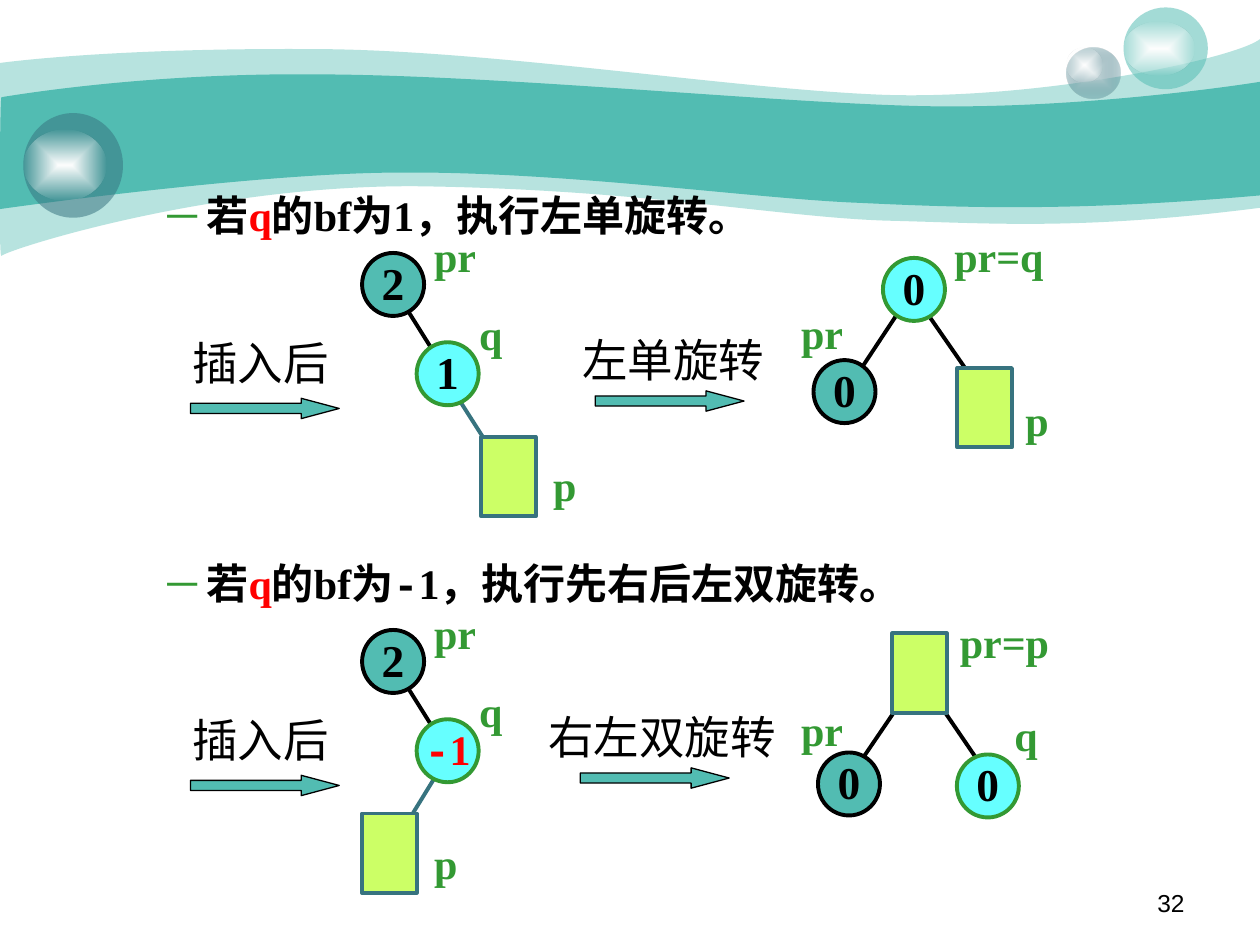
from dataclasses import dataclass

from lxml import etree
from pptx import Presentation
from pptx.dml.color import RGBColor
from pptx.enum.shapes import MSO_CONNECTOR, MSO_SHAPE
from pptx.enum.text import MSO_ANCHOR, MSO_AUTO_SIZE, PP_ALIGN
from pptx.oxml.ns import qn
from pptx.util import Cm, Pt

OVAL, RECT, ARROW = MSO_SHAPE.OVAL, MSO_SHAPE.RECTANGLE, MSO_SHAPE.RIGHT_ARROW
LINE = MSO_CONNECTOR.STRAIGHT
TOP, MIDDLE = MSO_ANCHOR.TOP, MSO_ANCHOR.MIDDLE
CENTER, RIGHT = PP_ALIGN.CENTER, PP_ALIGN.RIGHT
FIT, FIXED = MSO_AUTO_SIZE.SHAPE_TO_FIT_TEXT, MSO_AUTO_SIZE.NONE
SERIF, MONO, SANS = "Times New Roman", "Courier New", "Arial"
TEAL, SLATE, GREEN = "52BCB2", "37737F", "339933"
CYAN, LIME, RED = "66FFFF", "CCFF66", "FF0000"
BLACK, WHITE = "000000", "FFFFFF"
STEP = 7.6


@dataclass
class Piece:
    text: str
    color: str = BLACK
    font: str = SERIF


@dataclass
class Orb:
    x: float
    y: float
    w: float
    h: float
    stops: list


@dataclass
class Edge:
    x1: float
    y1: float
    x2: float
    y2: float
    color: str = BLACK


@dataclass
class Node:
    x: float
    y: float
    pieces: list
    fill: str
    line: str


@dataclass
class Tag:
    x: float
    y: float
    w: float
    text: str


@dataclass
class Tree:
    edges: list
    nodes: list
    leaf: tuple
    tags: list


def hue(code: str) -> RGBColor:
    return RGBColor.from_string(code)


def paint(shape, stops: list) -> None:
    shape.shadow.inherit = False
    shape.line.fill.background()
    if len(stops) == 1:
        shape.fill.solid()
        shape.fill.fore_color.rgb = hue(stops[0][0])
    else:
        shape.fill.gradient()
        for stop, (color, _) in zip(shape.fill.gradient_stops, stops):
            stop.color.rgb = hue(color)
        grad = shape._element.spPr.find(qn("a:gradFill"))
        grad.remove(grad.find(qn("a:lin")))
        way = etree.SubElement(grad, qn("a:path"), path="rect")
        etree.SubElement(way, qn("a:fillToRect"), l="50000", t="50000", r="50000", b="50000")
    for mark, (_, alpha) in zip(shape._element.spPr.iter(qn("a:srgbClr")), stops):
        if alpha < 100:
            etree.SubElement(mark, qn("a:alpha"), val=str(alpha * 1000))


def write(par, pieces: list, size: float, bold: bool = True) -> None:
    for piece in pieces:
        run = par.add_run()
        run.text = piece.text
        run.font.size, run.font.bold, run.font.name = Pt(size), bold, piece.font
        run.font.color.rgb = hue(piece.color)


def wave(shapes, start: tuple, parts: list, alpha: int) -> None:
    pen = shapes.build_freeform(Cm(start[0]), Cm(start[1]))
    pen.add_line_segments([(Cm(x), Cm(y)) for part in parts for x, y in part], close=True)
    shape = pen.convert_to_shape()
    steps = iter(list(shape._element.iter(qn("a:lnTo"))))
    for part in parts:
        group = [next(steps) for _ in part]
        if len(group) == 3:
            group[0].tag
            curve = etree.Element(qn("a:cubicBezTo"))
            group[0].addprevious(curve)
            for step in group:
                curve.append(step[0])
                step.getparent().remove(step)
    paint(shape, [(TEAL, alpha)])


def block(shapes, kind, x: float, y: float, w: float, h: float, fill: str, line: str, width: float = 2.25):
    shape = shapes.add_shape(kind, Cm(x), Cm(y), Cm(w), Cm(h))
    paint(shape, [(fill, 100)])
    shape.line.color.rgb = hue(line)
    shape.line.width = Pt(width)
    return shape


def label(shapes, tag: Tag, h: float, size: float, piece: Piece, bold: bool = True):
    frame = shapes.add_textbox(Cm(tag.x), Cm(tag.y), Cm(tag.w), Cm(h)).text_frame
    frame.word_wrap = False
    frame.auto_size = FIT
    write(frame.paragraphs[0], [piece], size, bold)
    return frame


def join(shapes, edge: Edge) -> None:
    line = shapes.add_connector(LINE, Cm(edge.x1), Cm(edge.y1), Cm(edge.x2), Cm(edge.y2))
    line.line.color.rgb = hue(edge.color)
    line.line.width = Pt(2.25)
    etree.SubElement(line._element.spPr, qn("a:effectLst"))


def disc(shapes, node: Node) -> None:
    frame = block(shapes, OVAL, node.x, node.y, 1.25, 1.27, node.fill, node.line).text_frame
    frame.margin_left = frame.margin_right = frame.margin_top = 0
    frame.margin_bottom = Cm(0.1)
    frame.word_wrap = False
    frame.vertical_anchor = MIDDLE
    frame.paragraphs[0].alignment = CENTER
    write(frame.paragraphs[0], node.pieces, 26 if len(node.pieces) == 1 else 24)


def grow(shapes, tree: Tree) -> None:
    for edge in tree.edges:
        join(shapes, edge)
    for node in tree.nodes:
        disc(shapes, node)
    block(shapes, RECT, *tree.leaf, 1.1, 1.6, LIME, SLATE)
    for tag in tree.tags:
        label(shapes, tag, 1.27, 24, Piece(tag.text, GREEN))


def move(shapes, tag: Tag, x: float, y: float) -> None:
    block(shapes, ARROW, x, y, 3, 0.41, TEAL, BLACK, 0.75).adjustments[1] = 1.87
    label(shapes, tag, 1.37, 26, Piece(tag.text, BLACK, SANS), False)


def dark(x: float, y: float, text: str) -> Node:
    return Node(x, y, [Piece(text)], TEAL, BLACK)


def light(x: float, y: float, *pieces: Piece) -> Node:
    return Node(x, y, list(pieces), CYAN, GREEN)


def before(top: float, pieces: list, edge: Edge, leaf: tuple, tag: Tag) -> Tree:
    return Tree([edge, Edge(8.05, 5.99 + top, 8.99, 7.49 + top)],
                [dark(7.3, 5.1 + top, "2"), light(8.4, 6.9 + top, *pieces)],
                leaf, [Tag(8.5, 4.53 + top, 1.35, "pr"), Tag(9.41, 6.1 + top, 0.97, "q"), tag])


def rules(body, lines: list) -> None:
    body.left, body.top, body.width, body.height = Cm(1.85), Cm(3.6), Cm(21.87), Cm(14.45)
    frame = body.text_frame
    frame.auto_size = FIXED
    frame.vertical_anchor = TOP
    for i, pieces in enumerate(lines):
        par = frame.add_paragraph() if i else frame.paragraphs[0]
        par.level = 1
        prop = par._p.get_or_add_pPr()
        prop.set("marL", str(Cm(2.06)))
        prop.set("indent", str(Cm(-0.79)))
        tint = etree.SubElement(prop, qn("a:buClr"))
        etree.SubElement(tint, qn("a:srgbClr"), val=GREEN)
        etree.SubElement(prop, qn("a:buChar"), char="─")
        par.line_spacing = 1.1
        par.space_before = Pt(178.5 * i)
        write(par, pieces, 24)


GLOW = [(WHITE, 100), (WHITE, 0)]
ORBS = [
    Orb(21.51, 0.97, 1.07, 1.02, [("CCDBDE", 100), (SLATE, 31)]), Orb(21.51, 0.97, 0.71, 0.69, GLOW),
    Orb(22.65, 0.15, 1.7, 1.65, [(TEAL, 53)]), Orb(22.65, 0.43, 1.42, 1.09, GLOW),
    Orb(0.47, 2.28, 2.01, 2.11, [(SLATE, 53)]), Orb(0.47, 2.62, 1.68, 1.42, GLOW),
]
OUTER = [
    [(0.61, 1.19), (2.72, 0.97), (6.27, 0.99)], [(9.8, 0.99), (14.61, 1.78), (17.75, 1.91)],
    [(20.88, 2.03), (24.89, 1.19), (25.4, 0.79)], [(25.4, 4.19)],
    [(21.79, 4.65), (19.99, 4.5), (17.91, 4.45)], [(15.8, 4.39), (13.08, 3.84), (8.71, 3.76)],
    [(4.37, 3.66), (0.1, 5.05), (0.03, 5.16)], [(-0.03, 5.28), (0, 1.9), (0, 1.27)],
]
INNER = [
    [(0.05, 1.96), (2.79, 1.47), (6.3, 1.5)], [(9.8, 1.5), (15.11, 2.03), (18.24, 2.13)],
    [(21.36, 2.24), (24.79, 1.75), (25.4, 1.65)], [(25.4, 3.94)],
    [(21.67, 4.27), (19.43, 4.19), (17.32, 4.09)], [(15.21, 4.01), (11.35, 3.45), (8.05, 3.48)],
    [(5.16, 3.48), (-0.05, 4.22), (-0.03, 4.22)], [(0, 4.22), (0, 1.96), (0.03, 1.96)],
]
RULES = [
    [Piece("若"), Piece("q", RED), Piece("的bf为1，执行左单旋转。")],
    [Piece("若"), Piece("q", RED), Piece("的bf为"), Piece("-", font=MONO), Piece("1，执行先右后左双旋转。")],
]
TREES = [
    before(0, [Piece("1")], Edge(9.09, 7.8, 10.06, 9.32, SLATE), (9.7, 8.81), Tag(10.9, 9.13, 0.97, "p")),
    Tree([Edge(18.14, 6.25, 17.15, 7.75), Edge(18.54, 6.1, 19.56, 7.57)],
         [light(17.8, 5.2, Piece("0")), dark(16.4, 7.26, "0")], (19.3, 7.42),
         [Tag(15.9, 6.07, 1.35, "pr"), Tag(20.42, 7.82, 0.97, "p"), Tag(18.99, 4.53, 2.31, "pr=q")]),
    before(STEP, [Piece("-", RED, MONO), Piece("1", RED)], Edge(8.94, 15.39, 8, 16.92, SLATE),
           (7.3, 16.4), Tag(8.5, 16.76, 0.97, "p")),
    Tree([Edge(18.34, 13.89, 17.32, 15.39), Edge(18.75, 13.92, 19.74, 15.37)],
         [light(19.29, 15.21, Piece("0")), dark(16.49, 15.17, "0")], (17.99, 12.77),
         [Tag(15.9, 14.07, 1.35, "pr"), Tag(20.2, 14.17, 0.97, "q"), Tag(19.1, 12.31, 2.31, "pr=p")]),
]


def main() -> None:
    deck = Presentation()
    deck.slide_width, deck.slide_height = Cm(25.4), Cm(19.05)
    slide = deck.slides.add_slide(deck.slide_layouts[1])
    shapes = slide.shapes
    title, body = shapes.title, slide.placeholders[1]
    title._element.getparent().remove(title._element)
    wave(shapes, (0, 1.27), OUTER, 41)
    wave(shapes, (0.03, 1.96), INNER, 100)
    for orb in ORBS:
        paint(shapes.add_shape(OVAL, Cm(orb.x), Cm(orb.y), Cm(orb.w), Cm(orb.h)), orb.stops)
    shapes._spTree.append(body._element)
    rules(body, RULES)
    for top in (0, STEP):
        move(shapes, Tag(3.63, 6.63 + top, 3.3, "插入后"), 3.84, 8.03 + top)
    move(shapes, Tag(11.49, 6.56, 4.22, "左单旋转"), 12, 7.88)
    move(shapes, Tag(10.8, 14.17, 5.14, "右左双旋转"), 11.7, 15.48)
    for tree in TREES:
        grow(shapes, tree)
    page = label(shapes, Tag(18.21, 17.78, 5.92, "32"), 0.89, 14, Piece("32", BLACK, SANS), False)
    page.word_wrap = True
    page.paragraphs[0].alignment = RIGHT
    deck.save("out.pptx")


if __name__ == "__main__":
    main()
